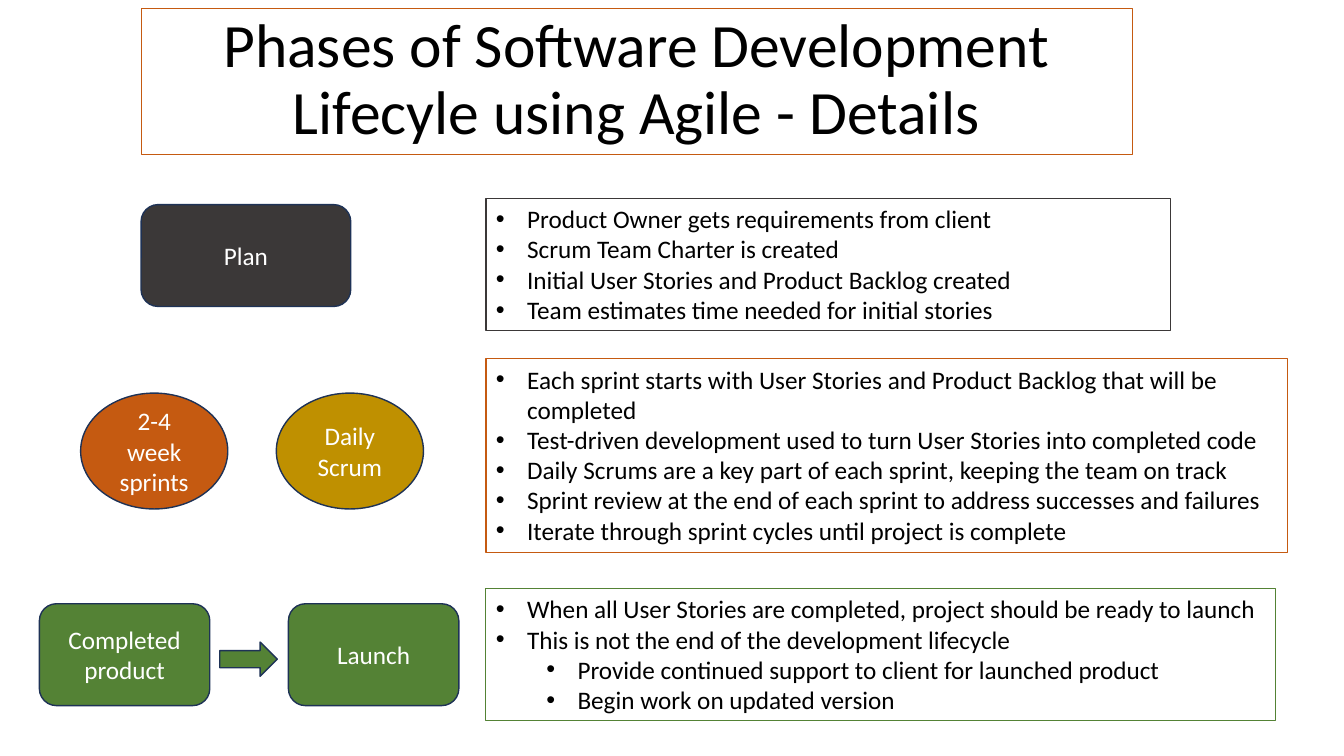
from lxml.etree import SubElement
from pptx import Presentation
from pptx.dml.color import RGBColor
from pptx.enum.shapes import MSO_SHAPE as Shape
from pptx.enum.text import MSO_ANCHOR as Anchor, MSO_AUTO_SIZE as AutoSize, PP_ALIGN as Align
from pptx.oxml.ns import qn
from pptx.util import Inches, Pt

SLIDE_WIDTH, SLIDE_HEIGHT = Inches(13.33), Inches(7.5)
FONT = "Calibri"
BLACK, WHITE, NAVY = "000000", "FFFFFF", "1E3256"
CHARCOAL, ORANGE, GOLD, GREEN = "3B3838", "C55A11", "BF9000", "548235"

# Positions and sizes are percentages of the slide's width and height.
DETAILS_LEFT = 36.16
SPRINT_TOP, SPRINT_SIZE = 52, (10.95, 15.33)
RELEASE_TOP, RELEASE_SIZE = 79.87, (12.68, 13.47)

# Each phase: colour, top, width, height, [(level, detail), ...]
PHASE_DETAILS = [
    (CHARCOAL, 26.27, 50.94, 17.47, [
        (0, "Product Owner gets requirements from client"),
        (0, "Scrum Team Charter is created"),
        (0, "Initial User Stories and Product Backlog created"),
        (0, "Team estimates time needed for initial stories"),
    ]),
    (ORANGE, 47.47, 59.64, 25.6, [
        (0, "Each sprint starts with User Stories and Product Backlog that will be completed"),
        (0, "Test-driven development used to turn User Stories into completed code"),
        (0, "Daily Scrums are a key part of each sprint, keeping the team on track"),
        (0, "Sprint review at the end of each sprint to address successes and failures"),
        (0, "Iterate through sprint cycles until project is complete"),
    ]),
    (GREEN, 77.87, 58.74, 17.47, [
        (0, "When all User Stories are completed, project should be ready to launch"),
        (0, "This is not the end of the development lifecycle"),
        (1, "Provide continued support to client for launched product"),
        (1, "Begin work on updated version"),
    ]),
]


def rgb(hex_colour):
    return RGBColor.from_string(hex_colour)


def area(left, top, width, height):
    """Turn percentages of the slide into lengths."""
    return (int(SLIDE_WIDTH * left / 100), int(SLIDE_HEIGHT * top / 100),
            int(SLIDE_WIDTH * width / 100), int(SLIDE_HEIGHT * height / 100))


def set_outline(shape, colour, width):
    shape.line.color.rgb = rgb(colour)
    shape.line.width = Pt(width)


def set_font(paragraph, size, colour):
    paragraph.font.name = FONT
    paragraph.font.size = Pt(size)
    paragraph.font.color.rgb = rgb(colour)


def add_title(slide, text):
    title = slide.shapes.title
    title.left, title.top, title.width, title.height = area(10.5, 1.07, 73.75, 19.33)
    set_outline(title, ORANGE, 0.75)
    frame = title.text_frame
    frame.text = text
    frame.word_wrap = True
    frame.auto_size = AutoSize.NONE
    frame.vertical_anchor = Anchor.MIDDLE
    heading = frame.paragraphs[0]
    heading.alignment = Align.CENTER
    heading.line_spacing = 0.9
    set_font(heading, 44, BLACK)


def add_step(shapes, kind, position, size, fill, label=""):
    step = shapes.add_shape(kind, *area(*position, *size))
    step.shadow.inherit = False
    step.fill.solid()
    step.fill.fore_color.rgb = rgb(fill)
    set_outline(step, NAVY, 1)
    if label:
        frame = step.text_frame
        frame.text = label
        frame.word_wrap = True
        frame.vertical_anchor = Anchor.MIDDLE
        frame.paragraphs[0].alignment = Align.CENTER
        set_font(frame.paragraphs[0], 18, WHITE)


def add_bullet(paragraph, level):
    paragraph.level = level
    properties = paragraph._p.get_or_add_pPr()
    properties.set("marL", str(Inches(0.31 + 0.5 * level)))
    properties.set("indent", str(Inches(-0.31)))
    SubElement(properties, qn("a:buFont"), typeface="Arial")
    SubElement(properties, qn("a:buChar"), char="•")


def add_details(slide, colour, top, width, height, details):
    box = slide.shapes.add_textbox(*area(DETAILS_LEFT, top, width, height))
    set_outline(box, colour, 0.75)
    frame = box.text_frame
    frame.word_wrap = True
    frame.auto_size = AutoSize.SHAPE_TO_FIT_TEXT
    for index, (level, detail) in enumerate(details):
        paragraph = frame.add_paragraph() if index else frame.paragraphs[0]
        paragraph.text = detail
        add_bullet(paragraph, level)
        set_font(paragraph, 18, BLACK)


def main():
    presentation = Presentation()
    presentation.slide_width, presentation.slide_height = SLIDE_WIDTH, SLIDE_HEIGHT
    slide = presentation.slides.add_slide(presentation.slide_layouts.get_by_name("Title Only"))
    add_title(slide, "Phases of Software Development Lifecyle using Agile - Details")

    add_step(slide.shapes, Shape.ROUNDED_RECTANGLE, (10.5, 27.07), (15.6, 13.47), CHARCOAL, "Plan")
    for left, colour, label in [(6, ORANGE, "2-4 week sprints"), (20.56, GOLD, "Daily Scrum")]:
        add_step(slide.shapes, Shape.OVAL, (left, SPRINT_TOP), SPRINT_SIZE, colour, label)

    release = slide.shapes.add_group_shape().shapes
    for left, label in [(2.93, "Completed product"), (21.46, "Launch")]:
        add_step(release, Shape.ROUNDED_RECTANGLE, (left, RELEASE_TOP), RELEASE_SIZE, GREEN, label)
    add_step(release, Shape.RIGHT_ARROW, (16.35, 84.93), (4.28, 4.53), GREEN)

    for phase in PHASE_DETAILS:
        add_details(slide, *phase)
    presentation.save("out.pptx")


if __name__ == "__main__":
    main()
